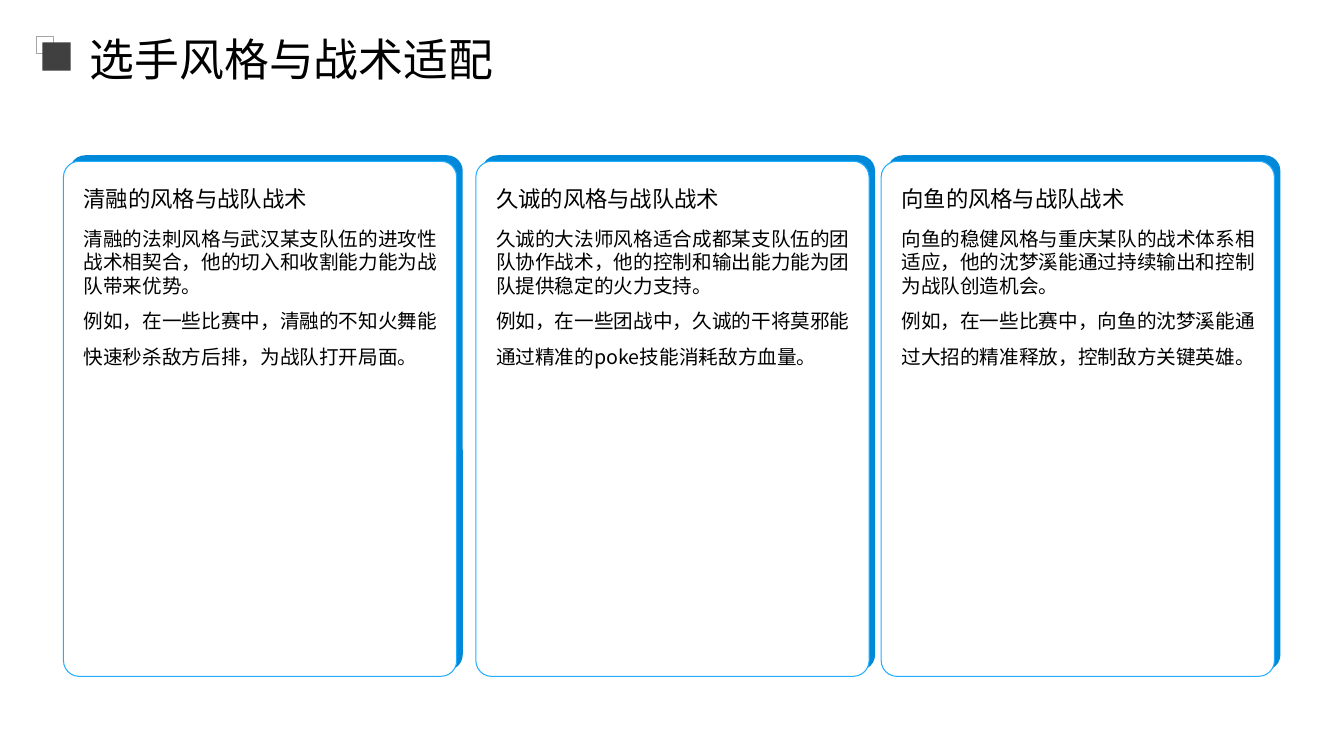
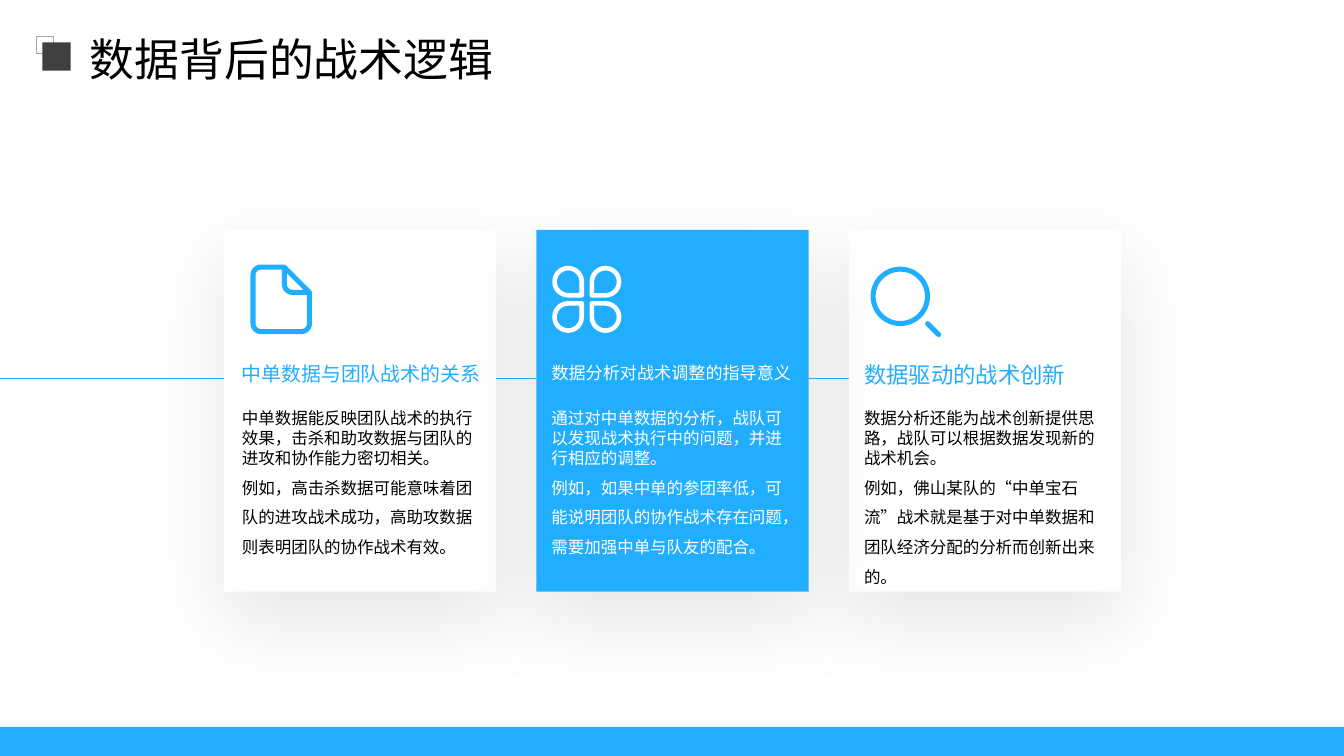
import math
from dataclasses import dataclass

import pptx
import pptx.dml.color
import pptx.enum.shapes
import pptx.enum.text
import pptx.oxml.ns
import pptx.util
from lxml import etree

Inches, Pt = pptx.util.Inches, pptx.util.Pt
RGB = pptx.dml.color.RGBColor.from_string
qn = pptx.oxml.ns.qn
SHAPE = pptx.enum.shapes.MSO_SHAPE
ANCHOR = pptx.enum.text.MSO_ANCHOR


@dataclass(frozen=True)
class Theme:
    font: str = "Noto Sans CJK SC"
    text: str = "000000"
    white: str = "FFFFFF"
    blue: str = "22AEFF"
    deep_blue: str = "0089D9"
    mark_fill: str = "404040"
    mark_line: str = "A6A6A6"
    title: float = 32
    heading: float = 16
    body: float = 14
    small_body: float = 11.8
    tight: float = 1.2  # line pitch, in type sizes
    loose: float = 1.8


T = Theme()


def add_shape(s, kind, box, fill=None, line=None, width=0.75):
    """Add a preset shape; box is left, top, width, height in inches."""
    sp = s.shapes.add_shape(kind, *map(Inches, box))
    sp.shadow.inherit = False
    if fill:
        sp.fill.solid()
        sp.fill.fore_color.rgb = RGB(fill)
    else:
        sp.fill.background()
    if line:
        sp.line.color.rgb = RGB(line)
        sp.line.width = Pt(width)
    else:
        sp.line.fill.background()
    return sp


def set_text(sp, box, paragraphs, size, color, spacings, anchor=ANCHOR.MIDDLE):
    """Place a text shape and fill it, with one line spacing per paragraph."""
    sp.left, sp.top, sp.width, sp.height = map(Inches, box)
    tf = sp.text_frame
    tf.word_wrap = True
    tf.auto_size = pptx.enum.text.MSO_AUTO_SIZE.NONE
    tf.vertical_anchor = anchor
    tf.margin_left = tf.margin_right = tf.margin_top = tf.margin_bottom = 0
    tf.text = "\n".join(paragraphs)
    for p, spacing in zip(tf.paragraphs, spacings):
        p.alignment = pptx.enum.text.PP_ALIGN.LEFT
        p.line_spacing = spacing
        p.font.size = Pt(size)
        p.font.name = T.font
        p.font.color.rgb = RGB(color)
        ea = etree.SubElement(p._p.pPr.find(qn("a:defRPr")), qn("a:ea"))
        ea.set("typeface", T.font)


prs = pptx.Presentation()
prs.slide_width, prs.slide_height = Inches(13.33), Inches(7.5)

# Title and corner mark shared by both slides
slides = []
for title in ("选手风格与战术适配", "数据背后的战术逻辑"):
    s = prs.slides.add_slide(prs.slide_layouts[5])
    set_text(s.shapes.title, (0.89, 0.29, 11.9, 0.47), [title], T.title, T.text, [1.2])
    add_shape(s, SHAPE.RECTANGLE, (0.36, 0.36, 0.17, 0.17), line=T.mark_line, width=1)
    add_shape(s, SHAPE.RECTANGLE, (0.42, 0.42, 0.28, 0.28), T.mark_fill)
    slides.append(s)
players_slide, data_slide = slides

# Slide 1: three player cards
s = players_slide
players = [
    (0.63, "清融的风格与战队战术",
     ["清融的法刺风格与武汉某支队伍的进攻性战术相契合，他的切入和收割能力能为战队带来优势。",
      "例如，在一些比赛中，清融的不知火舞能快速秒杀敌方后排，为战队打开局面。"]),
    (4.72, "久诚的风格与战队战术",
     ["久诚的大法师风格适合成都某支队伍的团队协作战术，他的控制和输出能力能为团队提供稳定的火力支持。",
      "例如，在一些团战中，久诚的干将莫邪能通过精准的poke技能消耗敌方血量。"]),
    (8.74, "向鱼的风格与战队战术",
     ["向鱼的稳健风格与重庆某队的战术体系相适应，他的沈梦溪能通过持续输出和控制为战队创造机会。",
      "例如，在一些比赛中，向鱼的沈梦溪能通过大招的精准释放，控制敌方关键英雄。"]),
]
pitches = [Pt(T.body * T.tight), Pt(T.body * T.loose)]
for left, heading, body in players:
    back = add_shape(s, SHAPE.ROUNDED_RECTANGLE, (left + 0.06, 1.54, 3.9, 5.11), T.deep_blue)
    front = add_shape(s, SHAPE.ROUNDED_RECTANGLE, (left, 1.6, 3.9, 5.11), T.white, T.blue)
    back.adjustments[0] = front.adjustments[0] = 0.04
    set_text(s.shapes.add_textbox(0, 0, 0, 0), (left + 0.2, 1.67, 3.51, 0.58),
             [heading], T.heading, T.text, [1.1])
    set_text(s.shapes.add_textbox(0, 0, 0, 0), (left + 0.2, 2.25, 3.51, 4.39),
             body, T.body, T.text, pitches, ANCHOR.TOP)

# Slide 2: three cards on a line; the middle card lies on top
s = data_slide
CARD_LEFT, CARD_WIDTH, CARD_STEP = 2.22, 2.7, 3.1
for column, fill in ((0, T.white), (2, T.white), (1, T.blue)):
    card = add_shape(s, SHAPE.RECTANGLE,
                     (CARD_LEFT + column * CARD_STEP, 2.28, CARD_WIDTH, 3.59), fill)
    effects = card._element.spPr.find(qn("a:effectLst"))
    shadow = etree.SubElement(effects, qn("a:outerShdw"), blurRad=str(Pt(60)),
                              dist=str(Pt(20)), dir="5400000", algn="t", rotWithShape="0")
    black = etree.SubElement(shadow, qn("a:srgbClr"), val="000000")
    etree.SubElement(black, qn("a:alpha"), val="10000")

# Connecting lines and the handle of the magnifier
segments = [(CARD_LEFT + i * CARD_STEP - (CARD_STEP - CARD_WIDTH if i else CARD_LEFT), 3.75,
             CARD_LEFT + i * CARD_STEP, 3.75, 0.5) for i in range(3)]
for *ends, width in segments + [(9.2, 3.21, 9.31, 3.32, 3.6)]:
    line = s.shapes.add_connector(pptx.enum.shapes.MSO_CONNECTOR.STRAIGHT, *map(Inches, ends))
    line.line.color.rgb = RGB(T.blue)
    line.line.width = Pt(width)
    line.line._get_or_add_ln().set("cap", "rnd" if width > 1 else "flat")
    etree.SubElement(line._element.spPr, qn("a:effectLst"))

# Magnifier lens and clover petals, whose tips meet in the middle
add_shape(s, SHAPE.OVAL, (8.66, 2.67, 0.54, 0.54), line=T.blue, width=3.6)
for x, y, turn in ((5.5, 2.66, 90), (5.87, 2.66, 180), (5.5, 3.01, 0), (5.87, 3.01, 270)):
    petal = add_shape(s, SHAPE.TEAR, (x, y, 0.27, 0.27), line=T.white, width=3.3)
    petal.rotation = turn

# Document icon: a corner is a point, or centre x, centre y, radius, start and end angle
page_corners = [(2.59, 2.73, 0.08, 180, 270), (2.82, 2.65), (3.07, 2.9),
                (2.99, 3.21, 0.08, 0, 90), (2.59, 3.21, 0.08, 90, 180)]
fold_corners = [(2.82, 2.65), (2.9, 2.82, 0.08, 180, 90), (3.07, 2.9)]
for corners, closed in ((page_corners, True), (fold_corners, False)):
    points = []
    for corner in corners:
        if len(corner) == 2:
            points.append(corner)
            continue
        cx, cy, radius, start, end = corner
        for step in range(9):
            angle = math.radians(start + (end - start) * step / 8)
            points.append((cx + radius * math.cos(angle), cy + radius * math.sin(angle)))
    points = [(Inches(x), Inches(y)) for x, y in points]
    builder = s.shapes.build_freeform(*points[0])
    builder.add_line_segments(points[1:], close=closed)
    outline = builder.convert_to_shape()
    outline.shadow.inherit = False
    outline.fill.background()
    outline.line.color.rgb = RGB(T.blue)
    outline.line.width = Pt(3.6)

topics = [
    (2.4, "中单数据与团队战术的关系", 14.2, T.blue, T.text,
     ["中单数据能反映团队战术的执行效果，击杀和助攻数据与团队的进攻和协作能力密切相关。",
      "例如，高击杀数据可能意味着团队的进攻战术成功，高助攻数据则表明团队的协作战术有效。"]),
    (5.47, "数据分析对战术调整的指导意义", 12.2, T.white, T.white,
     ["通过对中单数据的分析，战队可以发现战术执行中的问题，并进行相应的调整。",
      "例如，如果中单的参团率低，可能说明团队的协作战术存在问题，需要加强中单与队友的配合。"]),
    (8.57, "数据驱动的战术创新", T.heading, T.blue, T.text,
     ["数据分析还能为战术创新提供思路，战队可以根据数据发现新的战术机会。",
      "例如，佛山某队的“中单宝石流”战术就是基于对中单数据和团队经济分配的分析而创新出来的。"]),
]
pitches = [Pt(T.small_body * T.tight), Pt(T.small_body * T.loose)]
for left, heading, size, heading_color, body_color, body in topics:
    set_text(s.shapes.add_textbox(0, 0, 0, 0), (left, 3.47, 2.38, 0.36),
             [heading], size, heading_color, [1.5])
    set_text(s.shapes.add_textbox(0, 0, 0, 0), (left, 4.05, 2.37, 1.72),
             body, T.small_body, body_color, pitches, ANCHOR.TOP)

add_shape(s, SHAPE.RECTANGLE, (0, 7.21, 13.33, 0.29), T.blue)

prs.save("out.pptx")
